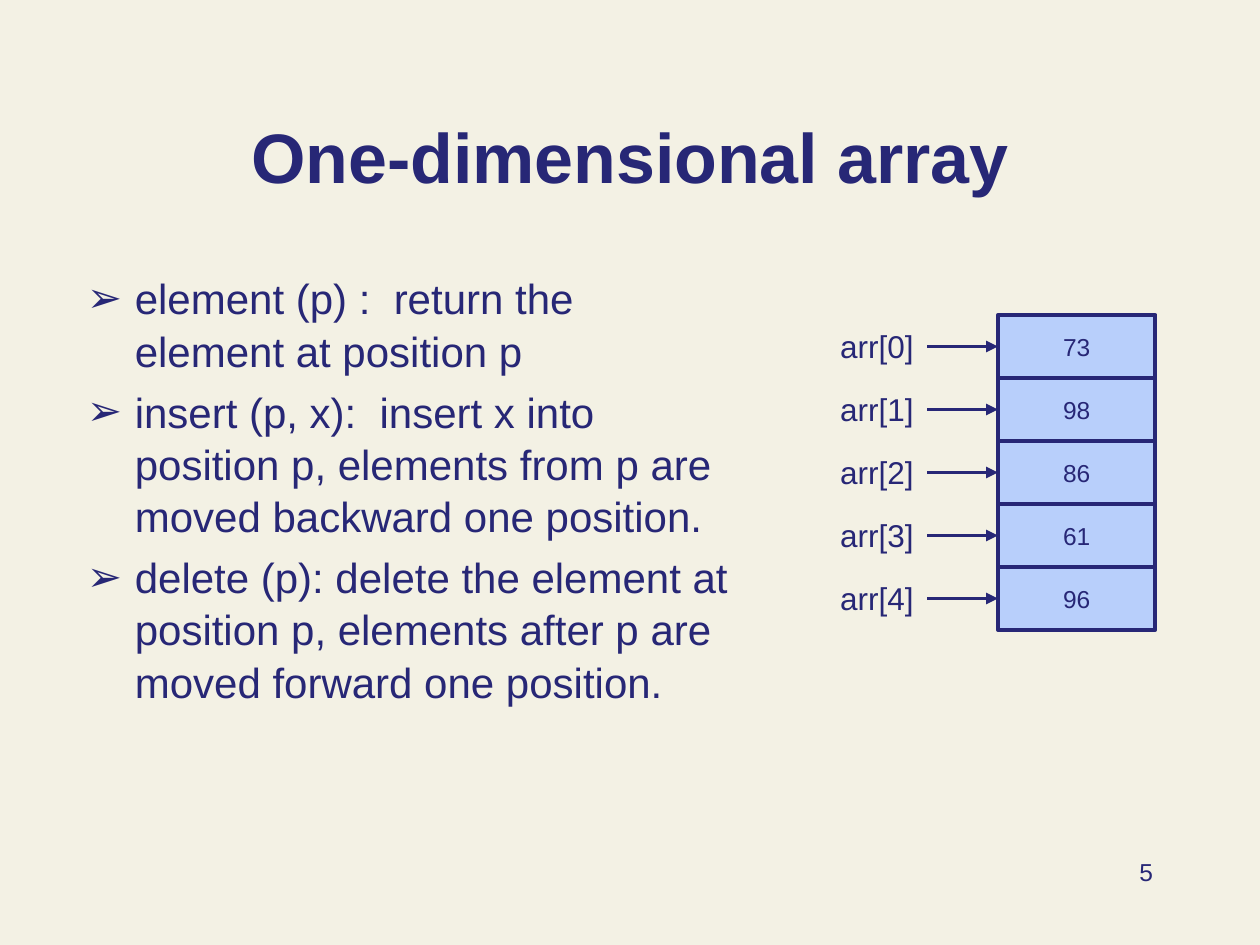
from dataclasses import dataclass
from lxml.etree import SubElement as Sub
from pptx import Presentation
from pptx.dml.color import RGBColor as RGB
from pptx.enum.shapes import MSO_CONNECTOR as Conn, MSO_SHAPE as Form
from pptx.enum.text import MSO_ANCHOR as Anchor, MSO_AUTO_SIZE as Fit, PP_ALIGN as Align
from pptx.oxml.ns import qn
from pptx.util import Inches, Pt


@dataclass(frozen=True)
class Theme:
    ink: RGB = RGB.from_string("272776")
    cell: RGB = RGB.from_string("B8CFFB")
    paper: RGB = RGB.from_string("F3F1E4")
    font: str = "Arial"
    title: Pt = Pt(40)
    body: Pt = Pt(24)
    label: Pt = Pt(18)
    small: Pt = Pt(14)
    line: Pt = Pt(2.25)


def assign(item, form):
    for key, value in form.items():
        setattr(item, key, value)


class Deck:
    """Holds the theme and the current slide, and draws its elements."""

    def __init__(self, theme):
        self.theme = theme
        self.show = Presentation()
        assign(self.show, {"slide_width": Inches(10), "slide_height": Inches(7.5)})
        self.slide = self.show.slides.add_slide(self.show.slide_layouts[1])
        fill = self.slide.background.fill
        fill.solid()
        fill.fore_color.rgb = theme.paper

    def place(self, item, box):
        names = ("left", "top", "width", "height")
        assign(item, dict(zip(names, map(Inches, box))))

    def letter(self, item, lines, size, align=Align.LEFT, anchor=Anchor.TOP, wrap=True, bold=False):
        frame = item.text_frame
        frame.text = "\n".join(lines)
        assign(frame, {"word_wrap": wrap, "auto_size": Fit.NONE, "vertical_anchor": anchor})
        for para in frame.paragraphs:
            para.alignment = align
            font = para.runs[0].font
            assign(font, {"name": self.theme.font, "size": size, "bold": bold})
            font.color.rgb = self.theme.ink
        return frame

    def title(self, text, box):
        item = self.slide.shapes.title
        self.place(item, box)
        self.letter(item, [text], self.theme.title, Align.CENTER, Anchor.BOTTOM, bold=True)

    def bullets(self, lines, box):
        item = self.slide.placeholders[1]
        self.place(item, box)
        frame = self.letter(item, lines, self.theme.body)
        for rank, para in enumerate(frame.paragraphs):
            assign(para, {"space_before": Pt(4.8 if rank else 0), "line_spacing": 1.04})
            props = para._p.get_or_add_pPr()
            props.set("marL", str(Inches(0.38)))
            props.set("indent", str(-Inches(0.38)))
            tint = Sub(props, qn("a:buClr"))
            Sub(tint, qn("a:srgbClr"), val=str(self.theme.ink))
            Sub(props, qn("a:buChar"), char="➢")

    def text(self, words, box, size, **form):
        item = self.slide.shapes.add_textbox(*map(Inches, box))
        self.letter(item, [words], size, **form)

    def cell(self, words, box):
        item = self.slide.shapes.add_shape(Form.RECTANGLE, *map(Inches, box))
        item.shadow.inherit = False
        item.fill.solid()
        item.fill.fore_color.rgb = self.theme.cell
        item.line.color.rgb = self.theme.ink
        item.line.width = self.theme.line
        self.letter(item, [words], self.theme.small, Align.CENTER, Anchor.MIDDLE)

    def arrow(self, start, end):
        item = self.slide.shapes.add_connector(Conn.STRAIGHT, *map(Inches, start + end))
        item.line.color.rgb = self.theme.ink
        item.line.width = self.theme.line
        Sub(item.line._get_or_add_ln(), qn("a:tailEnd"), type="triangle")
        Sub(item._element.spPr, qn("a:effectLst"))


def main():
    theme = Theme()
    deck = Deck(theme)
    deck.title("One-dimensional array", (0.75, 0.54, 8.5, 1.08))
    deck.bullets([
        "element (p) :  return the element at position p",
        "insert (p, x):  insert x into position p, elements from p are moved backward one position.",
        "delete (p): delete the element at position p, elements after p are moved forward one position.",
    ], (0.59, 2.1, 5.33, 4.73))
    deck.text("5", (7.17, 6.75, 2.08, 0.5), theme.small, align=Align.RIGHT)

    left, top, high = 7.92, 2.5, 0.5
    for rank, value in enumerate((73, 98, 86, 61, 96)):
        row = top + rank * high
        mid = row + high / 2
        deck.cell(str(value), (left, row, 1.25, high))
        deck.text(f"arr[{rank}]", (6.57, row + 0.05, 0.79, 0.4), theme.label, wrap=False)
        deck.arrow((7.36, mid), (left, mid))
    deck.show.save("out.pptx")


if __name__ == "__main__":
    main()
